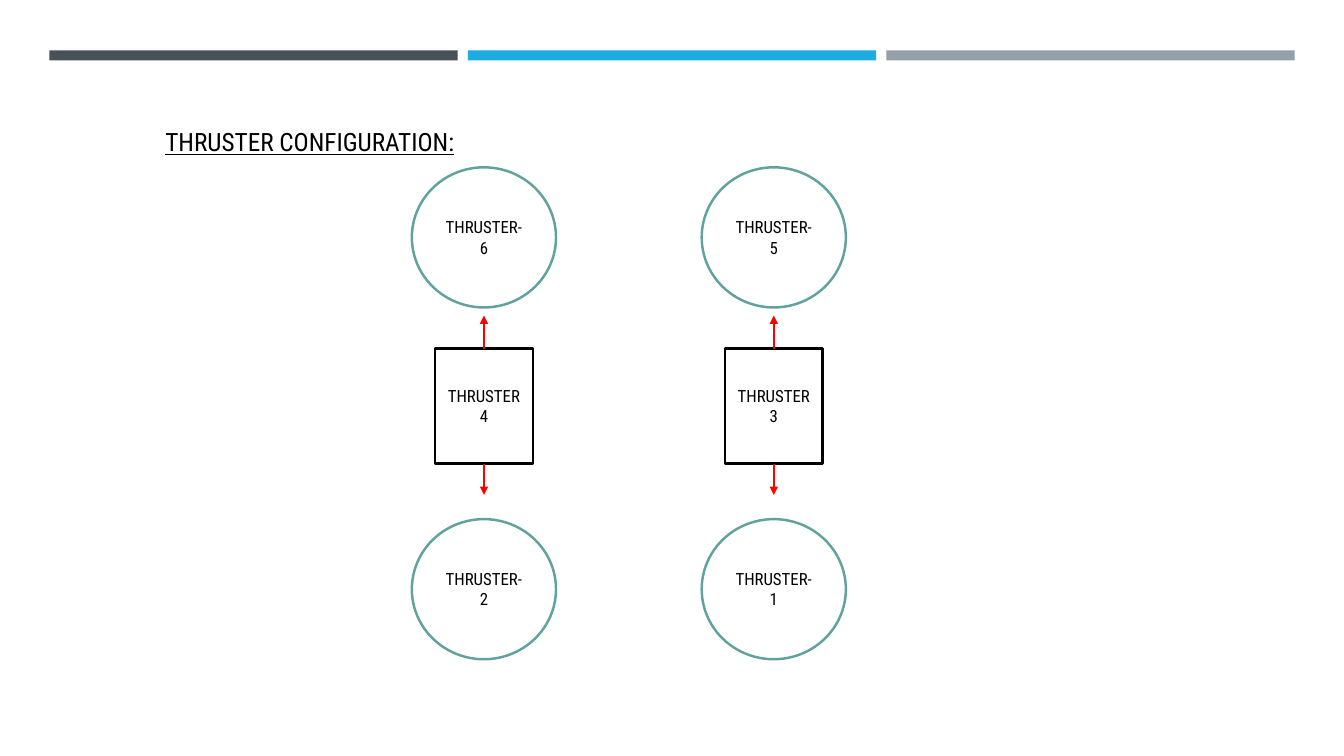
from dataclasses import dataclass

from lxml.etree import SubElement
from pptx import Presentation
from pptx.dml.color import RGBColor
from pptx.enum.shapes import MSO_CONNECTOR, MSO_SHAPE
from pptx.enum.text import MSO_ANCHOR, PP_ALIGN
from pptx.oxml.ns import qn
from pptx.util import Inches, Pt

# Content
TITLE = "THRUSTER CONFIGURATION:"
COLUMNS = [  # top circle, middle box, bottom circle
    ("THRUSTER-\v6", "THRUSTER\v4", "THRUSTER-\v2"),
    ("THRUSTER-\v5", "THRUSTER\v3", "THRUSTER-\v1"),
]


@dataclass(frozen=True)
class Theme:
    font: str = "Roboto Condensed"
    title_size: float = 18
    label_size: float = 12
    line_width: float = 1.75
    arrow_width: float = 1.25
    text: str = "000000"
    circle: str = "61A29F"
    box: str = "000000"
    arrow: str = "FF0000"
    bars: tuple = ("465258", "1CACE3", "959FA7")


THEME = Theme()

# Layout in inches
BAR_LEFT, BAR_TOP, BAR_W, BAR_H, BAR_STEP = 0.49, 0.5, 4.05, 0.1, 4.15
COLUMN_X, COLUMN_STEP = 4.8, 2.875
CIRCLE_W, CIRCLE_H = 1.43, 1.39
BOX_W, BOX_H = 0.97, 1.14
TOP_Y, BOX_Y, BOTTOM_Y = 2.355, 4.03, 5.845
ARROW_UP, ARROW_DOWN = (3.46, 3.13), (4.6, 4.91)


def style_text(tf, size, align):
    tf.margin_left = tf.margin_right = tf.margin_top = tf.margin_bottom = 0
    tf.vertical_anchor = MSO_ANCHOR.MIDDLE
    tf.word_wrap = True
    p = tf.paragraphs[0]
    p.alignment = align
    p.font.name = THEME.font
    p.font.size = Pt(size)
    p.font.color.rgb = RGBColor.from_string(THEME.text)
    return p


def add_thruster(slide, kind, x, y, w, h, label, color):
    sp = slide.shapes.add_shape(
        kind, Inches(x - w / 2), Inches(y - h / 2), Inches(w), Inches(h))
    sp.shadow.inherit = False
    sp.fill.background()
    sp.line.color.rgb = RGBColor.from_string(color)
    sp.line.width = Pt(THEME.line_width)
    sp.text_frame.text = label
    style_text(sp.text_frame, THEME.label_size, PP_ALIGN.CENTER)


def add_arrow(slide, x, start, end):
    line = slide.shapes.add_connector(
        MSO_CONNECTOR.STRAIGHT, Inches(x), Inches(start), Inches(x), Inches(end))
    line.line.color.rgb = RGBColor.from_string(THEME.arrow)
    line.line.width = Pt(THEME.arrow_width)
    SubElement(line.line._get_or_add_ln(), qn("a:tailEnd"), type="triangle")
    SubElement(line._element.spPr, qn("a:effectLst"))


def main():
    prs = Presentation()
    prs.slide_width, prs.slide_height = Inches(13.33), Inches(7.5)
    slide = prs.slides.add_slide(prs.slide_layouts[5])

    # Bars along the top
    for i, color in enumerate(THEME.bars):
        bar = slide.shapes.add_shape(
            MSO_SHAPE.RECTANGLE, Inches(BAR_LEFT + i * BAR_STEP), Inches(BAR_TOP),
            Inches(BAR_W), Inches(BAR_H))
        bar.shadow.inherit = False
        bar.fill.solid()
        bar.fill.fore_color.rgb = RGBColor.from_string(color)
        bar.line.fill.background()

    # Title
    title = slide.shapes.title
    title.left, title.top = Inches(1.64), Inches(1.24)
    title.width, title.height = Inches(3.04), Inches(0.33)
    title.text_frame.text = TITLE
    p = style_text(title.text_frame, THEME.title_size, PP_ALIGN.LEFT)
    p.font.underline = True

    # Thruster columns
    for i, (top, middle, bottom) in enumerate(COLUMNS):
        x = COLUMN_X + i * COLUMN_STEP
        for y, label in ((TOP_Y, top), (BOTTOM_Y, bottom)):
            add_thruster(slide, MSO_SHAPE.OVAL, x, y, CIRCLE_W, CIRCLE_H,
                         label, THEME.circle)
        add_thruster(slide, MSO_SHAPE.RECTANGLE, x, BOX_Y, BOX_W, BOX_H,
                     middle, THEME.box)
        for start, end in (ARROW_UP, ARROW_DOWN):
            add_arrow(slide, x, start, end)

    prs.save("out.pptx")


if __name__ == "__main__":
    main()
